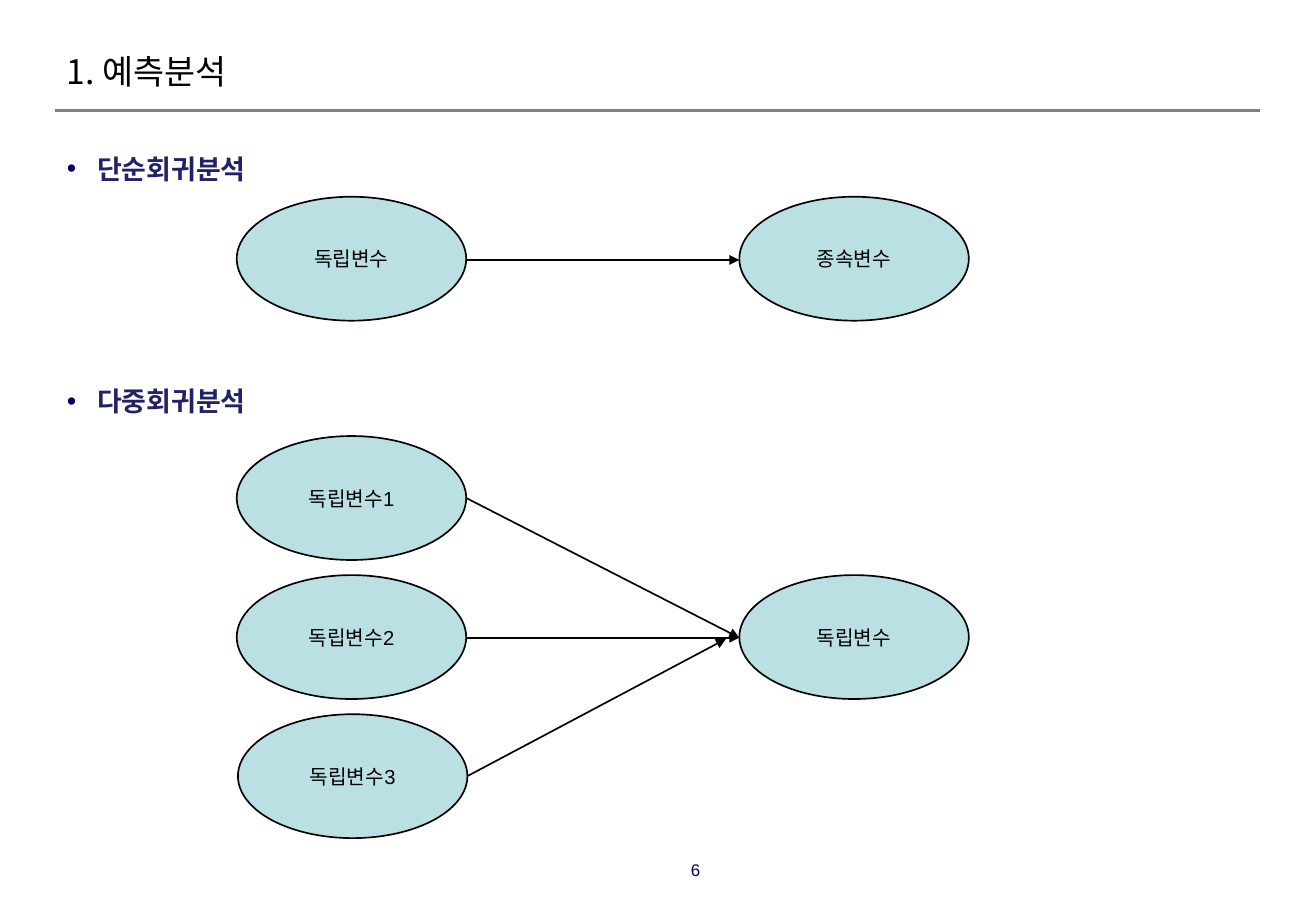
"""Build a slide that contrasts simple and multiple regression."""
import dataclasses

import pptx
import pptx.dml.color
import pptx.enum.shapes
import pptx.enum.text
import pptx.oxml.ns
import pptx.util
from lxml import etree

Inches = pptx.util.Inches
Pt = pptx.util.Pt
ALIGN = pptx.enum.text.PP_ALIGN
ANCHOR = pptx.enum.text.MSO_ANCHOR
KOREAN = "Noto Sans CJK KR"
WIDTH, HEIGHT = 1.89, 1.02
LEFT, RIGHT = 1.95, 6.09
TOP, STEP = 3.59, 1.145


@dataclasses.dataclass(frozen=True)
class Oval:
    left: float
    top: float
    text: str


@dataclasses.dataclass(frozen=True)
class Line:
    start: tuple[float, float]
    end: tuple[float, float]
    color: str = "000000"
    width: float = 1
    arrow: bool = True


def paint(item, color: str) -> None:
    item.rgb = pptx.dml.color.RGBColor.from_string(color)


def add(parent, tag: str, **attrs: str):
    node = etree.SubElement(parent, pptx.oxml.ns.qn(tag))
    for key, value in attrs.items():
        node.set(key, value)
    return node


def style(para, size: float, face: str, color: str, bold: bool = False) -> None:
    for run in para.runs:
        run.font.size = Pt(size)
        run.font.name = face
        run.font.bold = bold
        paint(run.font.color, color)
        add(run.font._element, "a:ea", typeface=KOREAN)


def place(shape, left: float, top: float, width: float, height: float) -> None:
    shape.left, shape.top = Inches(left), Inches(top)
    shape.width, shape.height = Inches(width), Inches(height)


def draw_oval(slide, oval: Oval) -> None:
    shape = slide.shapes.add_shape(
        pptx.enum.shapes.MSO_SHAPE.OVAL,
        Inches(oval.left), Inches(oval.top), Inches(WIDTH), Inches(HEIGHT))
    shape.shadow.inherit = False
    shape.fill.solid()
    paint(shape.fill.fore_color, "BBE0E3")
    paint(shape.line.color, "000000")
    shape.line.width = Pt(1)
    frame = shape.text_frame
    frame.text = oval.text
    frame.vertical_anchor = ANCHOR.MIDDLE
    frame.paragraphs[0].alignment = ALIGN.CENTER
    style(frame.paragraphs[0], 12, "Arial", "000000")


def draw_line(slide, line: Line) -> None:
    ends = [Inches(value) for value in (*line.start, *line.end)]
    shape = slide.shapes.add_connector(
        pptx.enum.shapes.MSO_CONNECTOR.STRAIGHT, *ends)
    paint(shape.line.color, line.color)
    shape.line.width = Pt(line.width)
    if line.arrow:
        add(shape.line._get_or_add_ln(), "a:tailEnd", type="triangle")
    add(shape._element.spPr, "a:effectLst")


def write_title(slide) -> None:
    title = slide.shapes.title
    place(title, 0.45, 0.34, 8.03, 0.49)
    frame = title.text_frame
    frame.text = "1. 예측분석"
    frame.auto_size = pptx.enum.text.MSO_AUTO_SIZE.NONE
    frame.vertical_anchor = ANCHOR.MIDDLE
    frame.paragraphs[0].alignment = ALIGN.LEFT
    style(frame.paragraphs[0], 20, KOREAN, "000000")


def write_list(slide) -> None:
    body = slide.placeholders[1]
    place(body, 0.45, 1.07, 9.92, 5.82)
    frame = body.text_frame
    frame.text = "단순회귀분석\n다중회귀분석"
    frame.auto_size = pptx.enum.text.MSO_AUTO_SIZE.NONE
    for para, space in zip(frame.paragraphs, (0, 109)):
        para.line_spacing = 1.5
        para.space_before = Pt(space)
        props = para._p.get_or_add_pPr()
        props.set("marL", str(Inches(0.25)))
        props.set("indent", str(Inches(-0.25)))
        add(add(props, "a:buClr"), "a:srgbClr", val="000066")
        add(props, "a:buFont", typeface="Arial")
        add(props, "a:buChar", char="•")
        style(para, 16, KOREAN, "222268", True)


def write_page(slide) -> None:
    box = slide.shapes.add_textbox(0, 0, 0, 0)
    place(box, 5.38, 7.03, 0.7, 0.42)
    frame = box.text_frame
    frame.word_wrap = True
    frame.text = "6"
    frame.paragraphs[0].alignment = ALIGN.CENTER
    style(frame.paragraphs[0], 10, "Arial", "000066")


def main() -> None:
    deck = pptx.Presentation()
    deck.slide_width, deck.slide_height = Inches(10.84), Inches(7.5)
    slide = deck.slides.add_slide(deck.slide_layouts[1])
    draw_line(slide, Line((0.45, 0.91), (10.38, 0.91), "808080", 2, False))
    write_title(slide)
    write_list(slide)
    write_page(slide)
    causes = [Oval(left, TOP + row * STEP, f"독립변수{row + 1}")
              for row, left in enumerate((LEFT, LEFT, LEFT + 0.01))]
    ovals = [Oval(LEFT, 1.62, "독립변수"), Oval(RIGHT, 1.62, "종속변수"),
             *causes, Oval(RIGHT, TOP + STEP, "독립변수")]
    for oval in ovals:
        draw_oval(slide, oval)
    edge = LEFT + WIDTH
    lines = [Line((edge, 2.14), (RIGHT, 2.14)),
             Line((edge, 5.25), (RIGHT, 5.25)),
             Line((edge, 4.1), (RIGHT, 5.25)),
             Line((edge + 0.01, 6.39), (5.98, 5.26))]
    for line in lines:
        draw_line(slide, line)
    deck.save("out.pptx")


if __name__ == "__main__":
    main()
